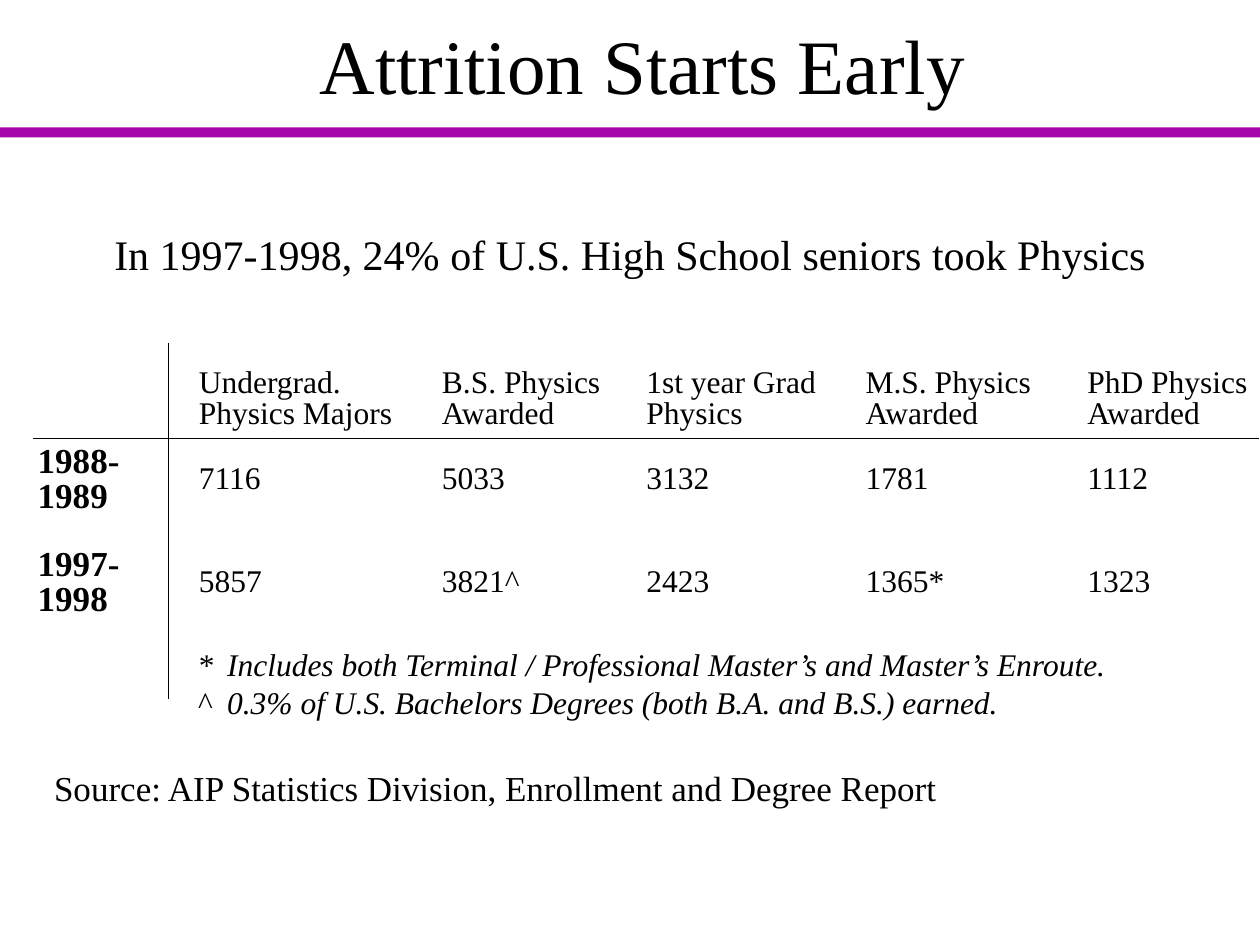
from dataclasses import dataclass

import pptx
import pptx.dml.color
import pptx.enum.shapes
import pptx.enum.text
import pptx.oxml.ns
import pptx.util
from lxml import etree

Cm = pptx.util.Cm
Pt = pptx.util.Pt
Align = pptx.enum.text.PP_ALIGN
Anchor = pptx.enum.text.MSO_ANCHOR

BLACK = pptx.dml.color.RGBColor(0x00, 0x00, 0x00)
PURPLE = pptx.dml.color.RGBColor(0xA6, 0x03, 0xAB)
FONT = "Times New Roman"
HANGING = Cm(0.6)


@dataclass
class TextBlock:
    left: float
    top: float
    width: float
    height: float
    lines: list[str]
    size: int
    align: Align = Align.LEFT
    anchor: Anchor = Anchor.TOP
    spacing: float = 1.0
    notes: bool = False


@dataclass
class Rule:
    start: tuple[float, float]
    end: tuple[float, float]


BLOCKS = [
    TextBlock(2.16, 0, 21.59, 2.59, ["Attrition Starts Early"], 44,
              Align.CENTER, Anchor.MIDDLE),
    TextBlock(0, 4.22, 25.4, 1.52,
              ["In 1997-1998, 24% of U.S. High School seniors took Physics"], 24,
              Align.CENTER, spacing=1.25),
    TextBlock(3.73, 12.88, 19.08, 2.54,
              ["*\tIncludes both Terminal / Professional Master’s and Master’s Enroute.",
               "^\t0.3% of U.S. Bachelors Degrees (both B.A. and B.S.) earned."], 18,
              notes=True),
    TextBlock(0.84, 15.32, 24.56, 1.12,
              ["Source: AIP Statistics Division, Enrollment and Degree Report"], 20),
]

RULES = [Rule((3.4, 6.91), (3.4, 14.1)), Rule((0.66, 8.84), (25.37, 8.84))]

COLUMN_WIDTHS = [3.25, 4.9, 4.12, 4.42, 4.47, 3.7]
ROW_HEIGHTS = [1.93, 1.68, 2.48]
DEGREE_ROWS = [
    ["", "Undergrad.\nPhysics Majors", "B.S. Physics\nAwarded",
     "1st year Grad\nPhysics", "M.S. Physics\nAwarded", "PhD Physics\nAwarded"],
    ["1988-1989", "7116", "5033", "3132", "1781", "1112"],
    ["1997-1998", "5857", "3821^", "2423", "1365*", "1323"],
]


def style_paragraph(para, size: int, bold: bool = False, italic: bool = False) -> None:
    para.font.name = FONT
    para.font.size = Pt(size)
    para.font.bold = bold
    para.font.italic = italic
    para.font.color.rgb = BLACK


def draw_text(page, block: TextBlock) -> None:
    box = page.shapes.add_textbox(Cm(block.left), Cm(block.top),
                                  Cm(block.width), Cm(block.height))
    frame = box.text_frame
    frame.word_wrap = True
    frame.vertical_anchor = block.anchor
    frame.text = "\n".join(block.lines)
    for para in frame.paragraphs:
        para.alignment = block.align
        para.line_spacing = block.spacing
        if block.notes:
            properties = para._p.get_or_add_pPr()
            properties.set("marL", str(HANGING))
            properties.set("indent", str(-HANGING))
        style_paragraph(para, block.size, italic=block.notes)


def draw_rule(page, rule: Rule) -> None:
    line = page.shapes.add_connector(pptx.enum.shapes.MSO_CONNECTOR.STRAIGHT,
                                     *map(Cm, rule.start + rule.end))
    line.line.color.rgb = BLACK
    line.line.width = Pt(0.75)
    etree.SubElement(line._element.spPr, pptx.oxml.ns.qn("a:effectLst"))


def draw_bar(page) -> None:
    bar = page.shapes.add_shape(pptx.enum.shapes.MSO_SHAPE.RECTANGLE,
                                Cm(-1.47), Cm(2.57), Cm(26.87), Cm(0.2))
    bar.shadow.inherit = False
    bar.fill.solid()
    bar.fill.fore_color.rgb = PURPLE
    bar.line.fill.background()


def fill_cell(cell, text: str, heading: bool, year: bool) -> None:
    cell.fill.background()
    cell.margin_left = Cm(0.25)
    cell.margin_right = Cm(0.8 if year else 0)
    cell.margin_top = Cm(0)
    cell.margin_bottom = Cm(0.15 if heading else 0)
    cell.vertical_anchor = Anchor.BOTTOM if heading else Anchor.MIDDLE
    cell.text = text
    for para in cell.text_frame.paragraphs:
        para.line_spacing = 0.9
        style_paragraph(para, 20 if year else 18, bold=year)


def draw_degrees(page) -> None:
    table = page.shapes.add_table(len(ROW_HEIGHTS), len(COLUMN_WIDTHS), Cm(0.51), Cm(6.91),
                                  Cm(sum(COLUMN_WIDTHS)), Cm(sum(ROW_HEIGHTS))).table
    table.first_row = False
    table.horz_banding = False
    for column, width in zip(table.columns, COLUMN_WIDTHS):
        column.width = Cm(width)
    for row_index, (row, height) in enumerate(zip(table.rows, ROW_HEIGHTS)):
        row.height = Cm(height)
        for column_index, text in enumerate(DEGREE_ROWS[row_index]):
            fill_cell(row.cells[column_index], text, row_index == 0, column_index == 0)


def main() -> None:
    deck = pptx.Presentation()
    deck.slide_width = Cm(25.4)
    deck.slide_height = Cm(19.05)
    page = deck.slides.add_slide(deck.slide_layouts[6])
    draw_bar(page)
    draw_degrees(page)
    for block in BLOCKS:
        draw_text(page, block)
    for rule in RULES:
        draw_rule(page, rule)
    deck.save("out.pptx")


if __name__ == "__main__":
    main()
